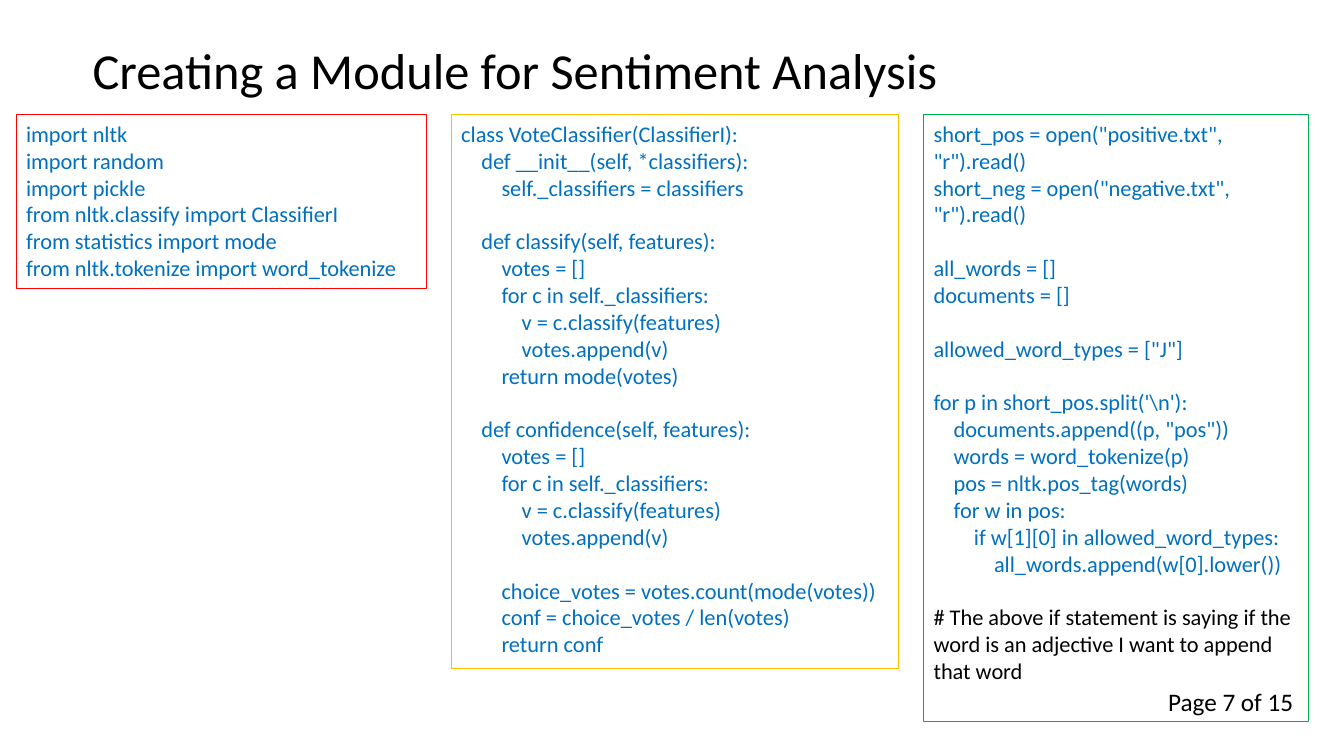
from pptx import Presentation
from pptx.dml.color import RGBColor
from pptx.enum.shapes import MSO_SHAPE as Preset
from pptx.enum.text import MSO_ANCHOR as Anchor, MSO_AUTO_SIZE as AutoSize, PP_ALIGN as Align
from pptx.util import Inches, Pt

BLACK = RGBColor(0x00, 0x00, 0x00)
BLUE = RGBColor(0x00, 0x70, 0xC0)
RED = RGBColor(0xFF, 0x00, 0x00)
AMBER = RGBColor(0xFF, 0xC0, 0x00)
GREEN = RGBColor(0x00, 0xB0, 0x50)

COLUMNS, ROWS = 40, 30
BLANK_LAYOUT = 6
CODE_SIZE = 16
CODE_LINE = Pt(19.2)
CODE_INDENT = Inches(0.2)
SPACES_PER_LEVEL = 4


def write(paragraph, text, size=CODE_SIZE, color=BLACK, font="Calibri",
          level=0, before=0, spacing=None):
    run = paragraph.add_run()
    run.text = text
    run.font.name = font
    run.font.size = Pt(size)
    run.font.color.rgb = color
    paragraph.alignment = Align.LEFT
    paragraph.space_before = before
    paragraph.line_spacing = spacing
    if level:
        properties = paragraph._p.get_or_add_pPr()
        properties.set("marL", str(level * CODE_INDENT))
        properties.set("indent", "0")


class CodeSlide:
    def __init__(self, presentation):
        self.slide = presentation.slides.add_slide(presentation.slide_layouts[BLANK_LAYOUT])
        self.column = presentation.slide_width / COLUMNS
        self.row = presentation.slide_height / ROWS

    def place(self, left, top, width, height):
        return (round(left * self.column), round(top * self.row),
                round(width * self.column), round(height * self.row))

    def label(self, text, area, anchor=Anchor.TOP, **style):
        frame = self.slide.shapes.add_textbox(*self.place(*area)).text_frame
        frame.word_wrap = True
        frame.auto_size = AutoSize.NONE
        frame.vertical_anchor = anchor
        write(frame.paragraphs[0], text, **style)

    def code_box(self, lines, area, outline):
        shape = self.slide.shapes.add_shape(Preset.RECTANGLE, *self.place(*area))
        shape.shadow.inherit = False
        shape.fill.background()
        shape.line.color.rgb = outline
        shape.line.width = Pt(0.75)
        frame = shape.text_frame
        frame.word_wrap = True
        frame.vertical_anchor = Anchor.TOP
        paragraph, before = frame.paragraphs[0], 0
        for line in lines:
            code = line.lstrip()
            if not code:
                before = CODE_LINE
                continue
            paragraph = paragraph or frame.add_paragraph()
            write(paragraph, code, color=BLACK if code.startswith("#") else BLUE,
                  level=(len(line) - len(code)) // SPACES_PER_LEVEL, before=before)
            paragraph, before = None, 0


IMPORTS = [
    "import nltk",
    "import random",
    "import pickle",
    "from nltk.classify import ClassifierI",
    "from statistics import mode",
    "from nltk.tokenize import word_tokenize",
]
VOTE_LOOP = [
    "        votes = []",
    "        for c in self._classifiers:",
    "            v = c.classify(features)",
    "            votes.append(v)",
]
VOTE_CLASSIFIER = [
    "class VoteClassifier(ClassifierI):",
    "    def __init__(self, *classifiers):",
    "        self._classifiers = classifiers",
    "",
    "    def classify(self, features):",
    *VOTE_LOOP,
    "        return mode(votes)",
    "",
    "    def confidence(self, features):",
    *VOTE_LOOP,
    "",
    "        choice_votes = votes.count(mode(votes))",
    "        conf = choice_votes / len(votes)",
    "        return conf",
]
WORD_SELECTION = [
    'short_pos = open("positive.txt", "r").read()',
    'short_neg = open("negative.txt", "r").read()',
    "",
    "all_words = []",
    "documents = []",
    "",
    'allowed_word_types = ["J"]',
    "",
    r"for p in short_pos.split('\n'):",
    '    documents.append((p, "pos"))',
    "    words = word_tokenize(p)",
    "    pos = nltk.pos_tag(words)",
    "    for w in pos:",
    "        if w[1][0] in allowed_word_types:",
    "            all_words.append(w[0].lower())",
    "",
    "# The above if statement is saying if the word is an adjective I want to append that word",
]
CODE_BOXES = [
    (IMPORTS, 12.21, 6.88, RED),
    (VOTE_CLASSIFIER, 13.32, 21.96, AMBER),
    (WORD_SELECTION, 11.46, 24.08, GREEN),
]
BOX_LEFT, BOX_TOP, BOX_GAP = 0.48, 4.56, 0.74

presentation = Presentation()
presentation.slide_width = Inches(13.33)
presentation.slide_height = Inches(7.5)

code_slide = CodeSlide(presentation)
code_slide.label("Creating a Module for Sentiment Analysis", (2.46, 0, 34.5, 5.8),
                 anchor=Anchor.MIDDLE, size=36, spacing=0.9)
left = BOX_LEFT
for lines, width, height, outline in CODE_BOXES:
    code_slide.code_box(lines, (left, BOX_TOP, width, height), outline)
    left += width + BOX_GAP
code_slide.label("Page 7 of 15", (34.47, 27.04, 5.01, 1.6), size=18)

presentation.save("out.pptx")
